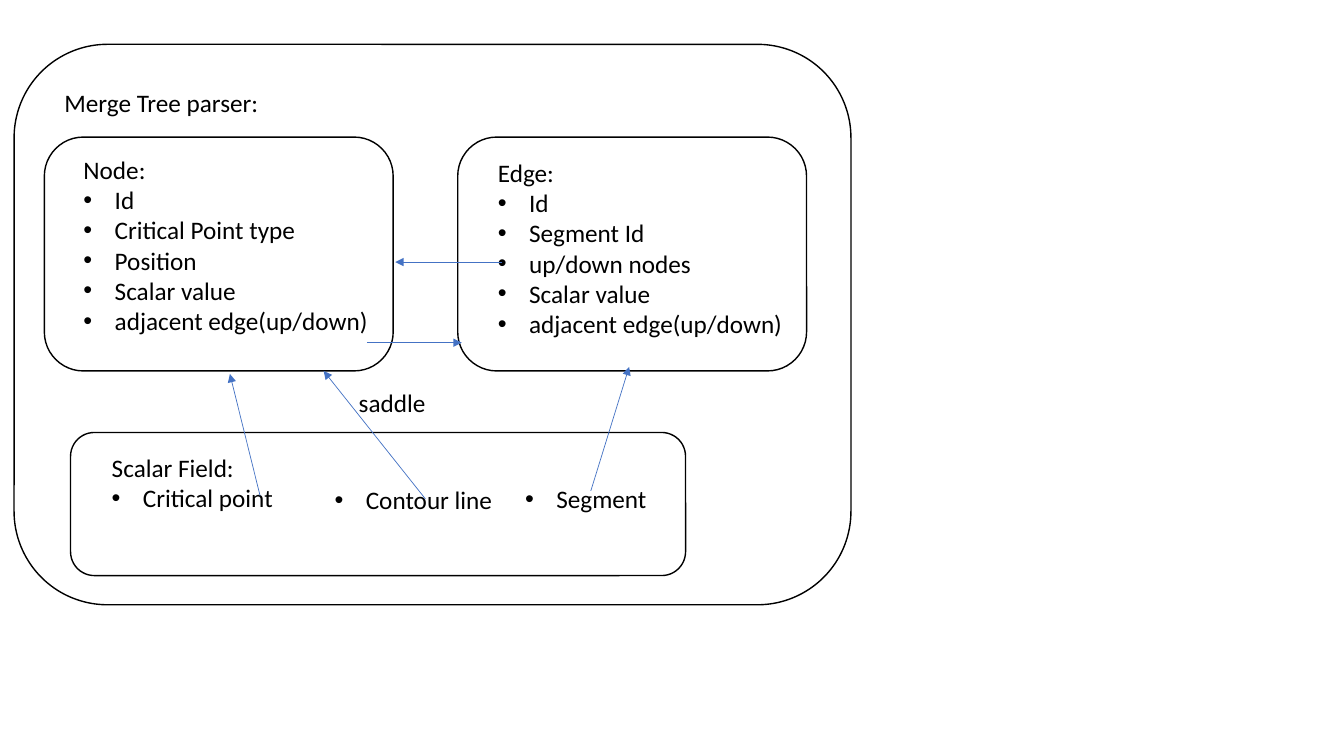
from lxml import etree
from pptx import Presentation
from pptx.dml.color import RGBColor
from pptx.enum import shapes, text
from pptx.oxml import ns
from pptx.util import Inches, Pt

BLACK, BLUE = "000000", "4472C4"
FONT = {"name": "Calibri", "size": Pt(18)}
INDENT = 0.31

# left, top, width, height
BOXES = [
    (0.14, 0.44, 8.3, 5.56),
    (0.44, 1.36, 3.46, 2.32),
    (4.54, 1.36, 3.46, 2.32),
    (0.7, 4.29, 6.1, 1.42),
]
# place, heading, bullets
TEXTS = [
    ((0.54, 0.82, 7.62, 0.71), "Merge Tree parser:", []),
    ((0.73, 1.48, 3.06, 2.52), "Node:",
     ["Id", "Critical Point type", "Position", "Scalar value",
      "adjacent edge(up/down)"]),
    ((4.84, 1.51, 3.06, 2.52), "Edge:",
     ["Id", "Segment Id", "up/down nodes", "Scalar value",
      "adjacent edge(up/down)"]),
    ((1.01, 4.44, 1.82, 1.62), "Scalar Field:", ["Critical point"]),
    ((5.11, 4.75, 1.42, 1.32), "", ["Segment"]),
    ((3.22, 4.76, 1.79, 1.31), "", ["Contour line"]),
    ((3.46, 3.79, 0.87, 0.4), "saddle", []),
]
# x and y of the start, x and y of the tip
ARROWS = [
    (3.64, 3.4, 4.58, 3.4),
    (4.98, 2.6, 3.92, 2.6),
    (2.58, 4.92, 2.28, 3.71),
    (4.22, 4.95, 3.21, 3.68),
    (5.86, 4.87, 6.24, 3.64),
]


def color(code):
    return RGBColor.from_string(code)


def inches(nums):
    return [Inches(n) for n in nums]


def sub(node, tag, **attrs):
    """Append a child element with the given attributes."""
    return etree.SubElement(node, ns.qn(tag), attrs)


def stroke(shape, code, width):
    shape.line.color.rgb = color(code)
    shape.line.width = Pt(width)


def add_box(slide, place):
    box = slide.shapes.add_shape(
        shapes.MSO_SHAPE.FLOWCHART_ALTERNATE_PROCESS, *inches(place))
    box.shadow.inherit = False
    box.fill.background()
    stroke(box, BLACK, 1)


def add_text(slide, place, head, items):
    frame = slide.shapes.add_textbox(*inches(place)).text_frame
    frame.word_wrap = len(items) == 0 and place[2] > 1
    frame.auto_size = text.MSO_AUTO_SIZE.NONE
    rows = [(head, False)] if head else []
    rows += [(item, True) for item in items]
    for i, (words, dot) in enumerate(rows):
        para = frame.add_paragraph() if i else frame.paragraphs[0]
        run = para.add_run()
        run.text = words
        for key, val in FONT.items():
            setattr(run.font, key, val)
        run.font.color.rgb = color(BLACK)
        if dot:
            props = para._p.get_or_add_pPr()
            props.set("marL", str(Inches(INDENT)))
            props.set("indent", str(-Inches(INDENT)))
            sub(props, "a:buFont", typeface="Arial")
            sub(props, "a:buChar", char="•")


def add_arrow(slide, ends):
    arrow = slide.shapes.add_connector(
        shapes.MSO_CONNECTOR.STRAIGHT, *inches(ends))
    stroke(arrow, BLUE, 0.5)
    sub(arrow.line._get_or_add_ln(), "a:tailEnd", type="triangle")
    sub(arrow._element.spPr, "a:effectLst")


def main():
    deck = Presentation()
    deck.slide_width, deck.slide_height = inches((13.33, 7.5))
    slide = deck.slides.add_slide(deck.slide_layouts[6])
    for place in BOXES:
        add_box(slide, place)
    for place, head, items in TEXTS:
        add_text(slide, place, head, items)
    for ends in ARROWS:
        add_arrow(slide, ends)
    deck.save("out.pptx")


if __name__ == "__main__":
    main()
